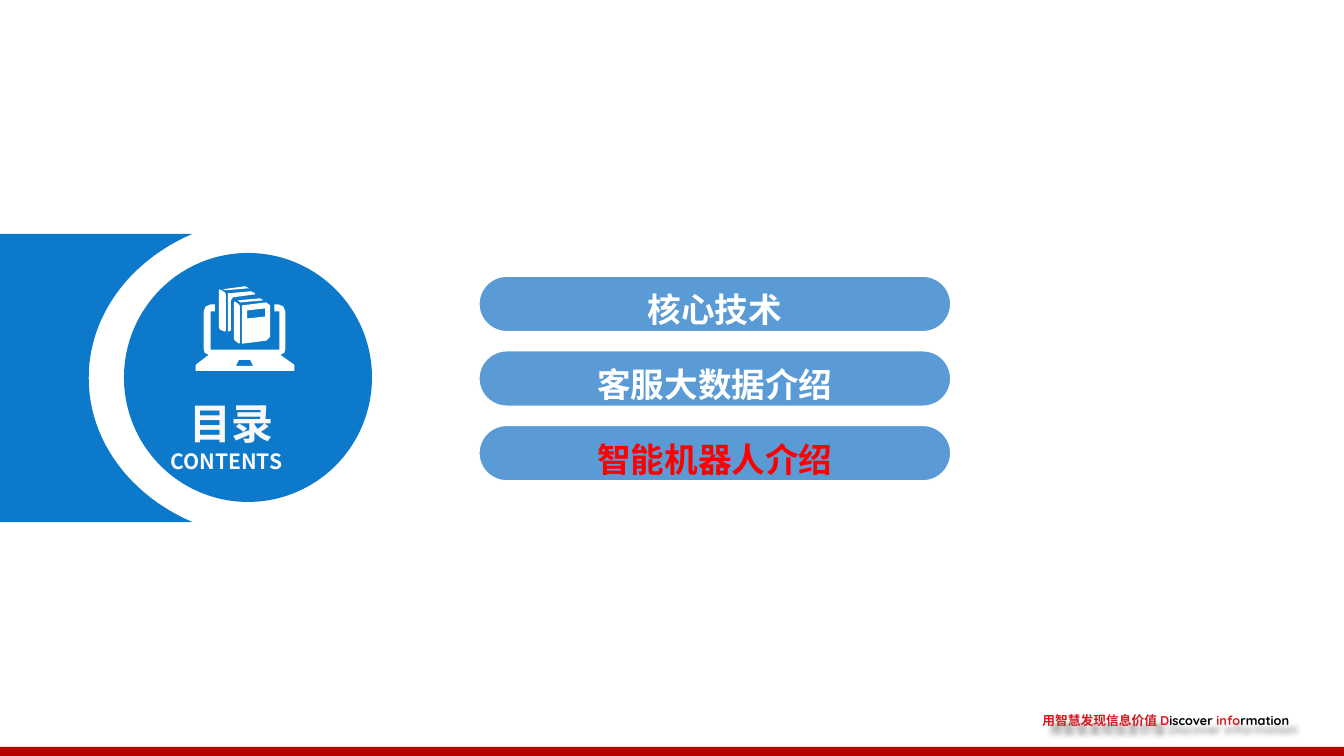
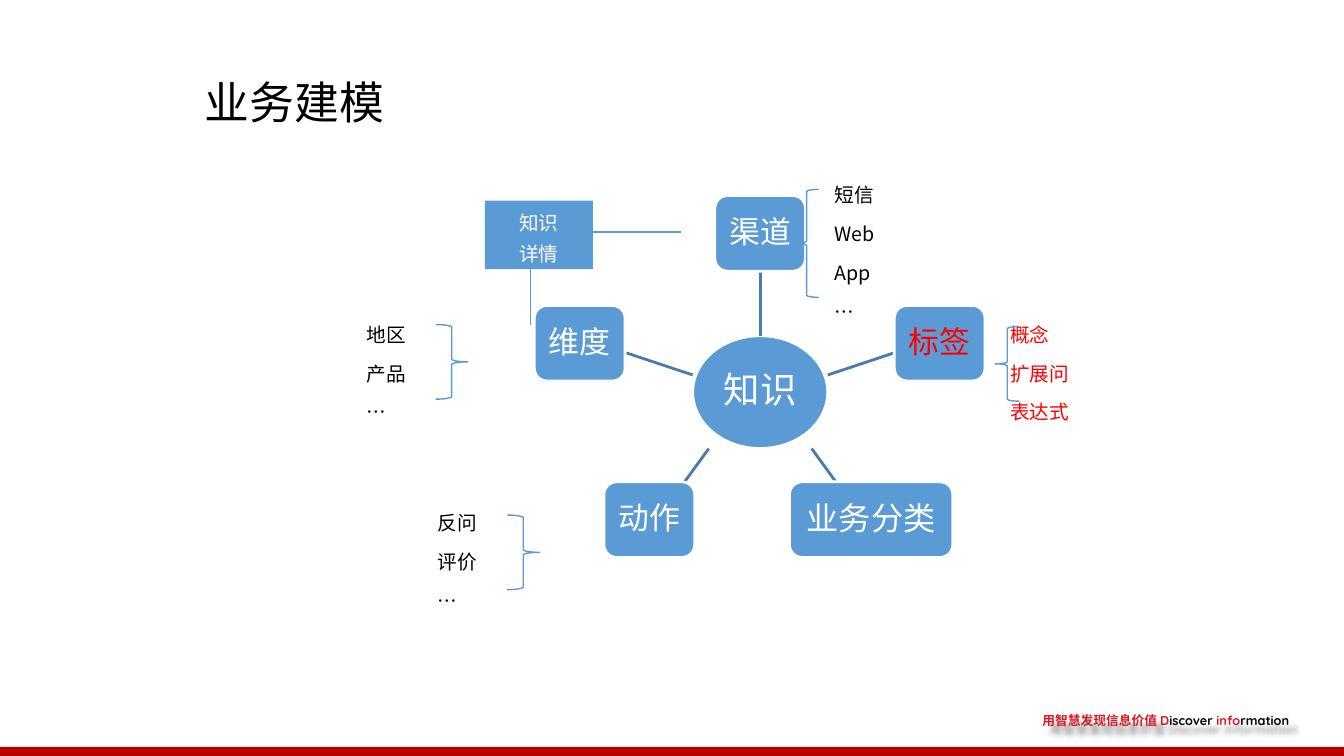
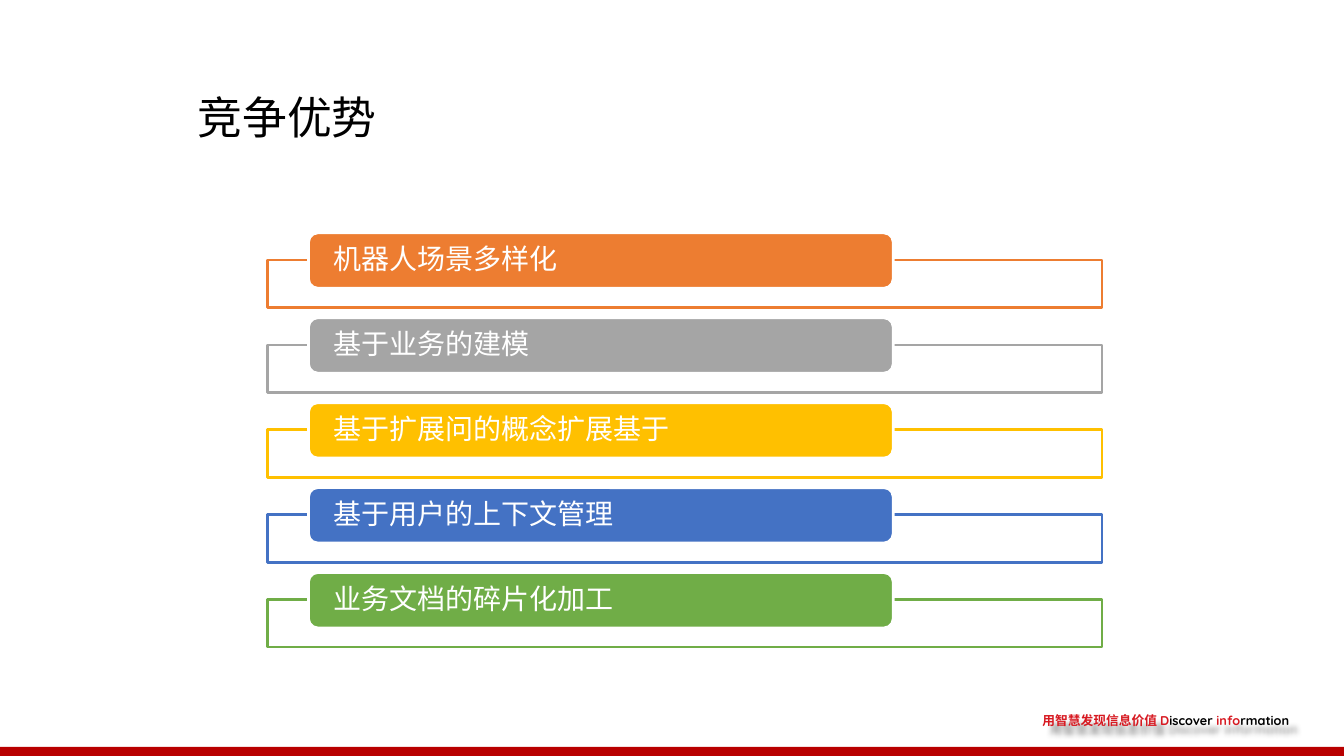
from dataclasses import dataclass
from lxml import etree
from pptx import Presentation
from pptx import util as u
from pptx.dml.color import RGBColor
from pptx.enum import shapes, text
from pptx.oxml import ns

PX = 9144


@dataclass(frozen=True)
class Theme:
    font: str = "Noto Sans CJK SC"
    footer_font: str = "Quicksand"
    white: str = "FFFFFF"
    black: str = "000000"
    red: str = "FF0000"
    footer_red: str = "D71921"
    band: str = "B90000"
    badge: str = "0D79CA"
    badge_text: str = "F8F8F8"
    node: str = "5B9BD5"
    spoke: str = "497CAB"
    advantages: tuple = ("ED7D31", "A5A5A5", "FFC000", "4472C4", "70AD47")
    title: float = 32
    badge_title: float = 30
    badge_caption: float = 15
    hub: float = 26
    pill: float = 24
    branch: float = 22
    wide_branch: float = 23
    advantage: float = 20
    note: float = 14
    footer: float = 9.1


T = Theme()
MSO = shapes.MSO_SHAPE
CENTER = text.PP_ALIGN.CENTER
MIDDLE = text.MSO_ANCHOR.MIDDLE
TOP = text.MSO_ANCHOR.TOP


def px(length):
    return u.Emu(round(length * PX))


def rgb(color):
    return RGBColor.from_string(color)


def paint(shape, fill=None, line=None, width=1):
    shape.shadow.inherit = False
    if fill:
        shape.fill.solid()
        shape.fill.fore_color.rgb = rgb(fill)
    else:
        shape.fill.background()
    if line:
        shape.line.color.rgb = rgb(line)
        shape.line.width = u.Pt(width)
    else:
        shape.line.fill.background()
    return shape


def add_preset(slide, preset, box, fill=None, line=None, width=1):
    shape = slide.shapes.add_shape(preset, *map(px, box))
    return paint(shape, fill, line, width)


def add_outline(slide, left, top, contours, fill):
    builder = None
    for contour in contours:
        start, *rest = [(px(x), px(y)) for x, y in contour]
        if builder is None:
            builder = slide.shapes.build_freeform(*start)
        else:
            builder.move_to(*start)
        builder.add_line_segments(rest, close=True)
    return paint(builder.convert_to_shape(px(left), px(top)), fill)


def add_line(slide, start, end, color, width):
    line = slide.shapes.add_connector(
        shapes.MSO_CONNECTOR.STRAIGHT, *map(px, (*start, *end)))
    line.line.color.rgb = rgb(color)
    line.line.width = u.Pt(width)
    etree.SubElement(line._element.spPr, ns.qn("a:effectLst"))
    return line


def write(shape, paragraphs, size, color=T.white, font=T.font, bold=False,
          align=None, anchor=TOP, insets=(10, 5), spacing=None, before=0):
    frame = shape.text_frame
    frame.word_wrap = True
    frame.vertical_anchor = anchor
    frame.margin_left = frame.margin_right = px(insets[0])
    frame.margin_top = frame.margin_bottom = px(insets[1])
    for index, runs in enumerate(paragraphs):
        paragraph = frame.add_paragraph() if index else frame.paragraphs[0]
        paragraph.alignment = align or text.PP_ALIGN.LEFT
        if spacing:
            paragraph.line_spacing = spacing
        if index and before:
            paragraph.space_before = u.Pt(before)
        for words, run_color in [(runs, color)] if isinstance(runs, str) else runs:
            run = paragraph.add_run()
            run.text = words
            run.font.name = font
            run.font.size = u.Pt(size)
            run.font.bold = bold
            run.font.color.rgb = rgb(run_color)
            east_asian = etree.Element(ns.qn("a:ea"), typeface=T.font)
            run.font._element.find(ns.qn("a:latin")).addnext(east_asian)


def add_text(slide, box, paragraphs, size, **style):
    area = slide.shapes.add_textbox(*map(px, box))
    write(area, paragraphs, size, **style)
    return area


def add_footer(slide):
    add_preset(slide, MSO.RECTANGLE, (0, 741, 1333, 9), T.band)
    slogan = add_text(
        slide, (1024, 698, 303, 40),
        [[("用智慧发现信息价值 D", T.footer_red), ("iscover ", T.black),
          ("info", T.footer_red), ("rmation", T.black)]],
        T.footer, font=T.footer_font, bold=True, spacing=1.3)
    effects = etree.SubElement(slogan._element.spPr, ns.qn("a:effectLst"))
    shadow = etree.SubElement(effects, ns.qn("a:outerShdw"), blurRad="50800",
                              dist=str(px(11)), dir="2700000", algn="tl")
    tint = etree.SubElement(shadow, ns.qn("a:srgbClr"), val=T.black)
    etree.SubElement(tint, ns.qn("a:alpha"), val="40000")


def add_slide(deck):
    slide = deck.slides.add_slide(deck.slide_layouts[6])
    add_footer(slide)
    return slide


def add_title(slide, box, words, **style):
    add_text(slide, box, [words], T.title, color=T.black, **style)


def bezier(a, b, c, d, steps=24):
    points = []
    for step in range(steps + 1):
        t = step / steps
        weights = ((1 - t) ** 3, 3 * t * (1 - t) ** 2, 3 * t * t * (1 - t), t ** 3)
        points.append(tuple(sum(w * p[axis] for w, p in zip(weights, (a, b, c, d)))
                            for axis in (0, 1)))
    return points


def add_library_icon(slide, left, top):
    touchpad = [(43, 73), (54, 73), (57, 79), (40, 79)]
    back_pages = [(27, 3), (30, 4), (53, 2), (49, 0)]
    back_spine = [(24, 3), (29, 6), (30, 8), (30, 44), (29, 45), (24, 43),
                  (23, 40), (23, 4)]
    back_cover = [(32, 7), (55, 5), (59, 7), (59, 8), (37, 11), (35, 14),
                  (35, 44), (32, 45)]
    front_pages = [(42, 14), (44, 16), (45, 16), (67, 14), (64, 12)]
    front_spine = [(39, 15), (43, 18), (44, 20), (44, 56), (43, 57), (39, 54),
                   (38, 52), (38, 16)]
    front_cover = [(46, 19), (70, 16), (74, 19), (74, 50), (70, 54), (46, 57)]
    cover_label = [(51, 24), (69, 22), (69, 30), (51, 32)]
    laptop = [(15, 25), (19, 25), (19, 18), (15, 18), (10, 20), (8, 25), (8, 62),
              (9, 66), (13, 68), (0, 78), (0, 84), (98, 84), (98, 78), (84, 68),
              (88, 66), (89, 62), (89, 25), (87, 20), (82, 18), (78, 18),
              (78, 25), (83, 25), (83, 63), (15, 63)]
    add_outline(slide, left, top,
                [touchpad, back_pages, back_spine, back_cover, front_pages,
                 front_spine, front_cover, cover_label, laptop], T.white)


def add_contents_badge(slide, box):
    left, top, width, height = box
    upper = bezier((191, 0), (130, 26), (88, 80), (88, 143))
    lower = [(x, height - y) for x, y in reversed(upper[:-1])]
    add_outline(slide, left, top, [[(0, height), (0, 0), *upper, *lower]], T.badge)
    add_preset(slide, MSO.OVAL, (left + width - 246, top + 19, 246, 247), T.badge)
    add_library_icon(slide, left + 194, top + 52)
    caption = dict(color=T.badge_text, bold=True, insets=(6, 6))
    add_text(slide, (left + 182, top + 156, 121, 58), ["目录"], T.badge_title, **caption)
    add_text(slide, (left + 163, top + 207, 138, 37), ["CONTENTS"],
             T.badge_caption, **caption)


def add_agenda(slide, box, topics, current):
    left, top, width, height = box
    pill_height = 55
    pitch = (height - pill_height) / (len(topics) - 1)
    for index, topic in enumerate(topics):
        pill = add_preset(slide, MSO.ROUNDED_RECTANGLE,
                          (left, top + index * pitch, width, pill_height),
                          T.node, T.white)
        pill.adjustments[0] = 0.5
        write(pill, [topic], T.pill, color=T.red if topic == current else T.white,
              bold=True, align=CENTER, insets=(5, 5))


def add_knowledge_map(slide, box):
    left, top, _, _ = box

    def node(preset, x, y, width, height, words, size, color=T.white):
        shape = add_preset(slide, preset, (left + x, top + y, width, height),
                           T.node, T.white, 2)
        write(shape, [words], size, color=color, align=CENTER, anchor=MIDDLE,
              insets=(6, 6), spacing=0.9)
        return shape

    node(MSO.OVAL, 157, 139, 134, 112, "知识", T.hub)
    branches = [
        ("渠道", 179, 0, 90, T.branch, T.white, (224, 139), (224, 75)),
        ("标签", 357, 109, 90, T.branch, T.red, (291, 178), (357, 156)),
        ("业务分类", 253, 284, 162, T.wide_branch, T.white, (275, 251), (299, 284)),
        ("动作", 69, 284, 90, T.branch, T.white, (173, 251), (149, 284)),
        ("维度", 0, 109, 90, T.branch, T.white, (157, 178), (91, 156)),
    ]
    for words, x, y, width, size, color, start, end in branches:
        spoke = add_line(slide, (left + start[0], top + start[1]),
                         (left + end[0], top + end[1]), T.spoke, 2)
        branch = node(MSO.ROUNDED_RECTANGLE, x, y, width, 75, words, size, color)
        if end == (x + width / 2, y + 75):
            spoke.end_connect(branch, 2)


def add_braced_list(slide, box, entries, brace, brace_box, color=T.black):
    left, top, _, _ = box
    x, y, width, height = brace_box
    add_text(slide, box, entries, T.note, color=color, spacing=1.3, before=6)
    add_preset(slide, brace, (left + x, top + y, width, height), line=T.node)


def add_detail_box(slide, box):
    left, top, width, height = box
    add_line(slide, (left + 84, top + 31), (left + 194, top + 31), T.node, 1)
    detail = add_preset(slide, MSO.RECTANGLE, box, T.node)
    write(detail, ["知识", "详情"], T.note, align=CENTER, anchor=MIDDLE, spacing=1.3)
    add_line(slide, (left + 45, top + height), (left + 45, top + height + 55), T.node, 1)


def add_advantages(slide, box, advantages):
    left, top, width, height = box
    frame_offset, frame_height = 27, 47
    pitch = (height - frame_offset - frame_height) / (len(advantages) - 1)
    for index, (advantage, color) in enumerate(zip(advantages, T.advantages)):
        row = top + index * pitch
        add_preset(slide, MSO.RECTANGLE,
                   (left, row + frame_offset, width, frame_height), T.white, color, 2)
        bar = add_preset(slide, MSO.ROUNDED_RECTANGLE, (left + 41, row, 580, 55),
                         color, T.white, 2)
        write(bar, [advantage], T.advantage, anchor=MIDDLE, insets=(22, 0), spacing=0.9)


def build_contents(deck):
    slide = add_slide(deck)
    add_contents_badge(slide, (0, 232, 369, 286))
    add_agenda(slide, (475, 274, 468, 203),
               ["核心技术", "客服大数据介绍", "智能机器人介绍"], "智能机器人介绍")


def build_modelling(deck):
    slide = add_slide(deck)
    add_title(slide, (197, 68, 394, 65), "业务建模", anchor=MIDDLE, insets=(6, 6))
    add_knowledge_map(slide, (530, 194, 447, 359))
    add_braced_list(slide, (992, 308, 122, 152), ["概念", "扩展问", "表达式"],
                    MSO.LEFT_BRACE, (-5, 16, 24, 74), T.red)
    add_braced_list(slide, (818, 170, 85, 175), ["短信", "Web", "App", "…"],
                    MSO.LEFT_BRACE, (-30, 18, 24, 107))
    add_braced_list(slide, (354, 308, 79, 132), ["地区", "产品", "…"],
                    MSO.RIGHT_BRACE, (78, 14, 32, 74))
    add_braced_list(slide, (424, 495, 79, 132), ["反问", "评价", "…"],
                    MSO.RIGHT_BRACE, (79, 16, 32, 74))
    add_detail_box(slide, (481, 199, 107, 68))


def build_advantages(deck):
    slide = add_slide(deck)
    add_title(slide, (186, 68, 200, 73), "竞争优势", spacing=1.3)
    add_advantages(slide, (265, 231, 828, 411),
                   ["机器人场景多样化", "基于业务的建模", "基于扩展问的概念扩展基于",
                    "基于用户的上下文管理", "业务文档的碎片化加工"])


def main():
    deck = Presentation()
    deck.slide_width, deck.slide_height = px(1333), px(750)
    build_contents(deck)
    build_modelling(deck)
    build_advantages(deck)
    deck.save("out.pptx")


if __name__ == "__main__":
    main()
